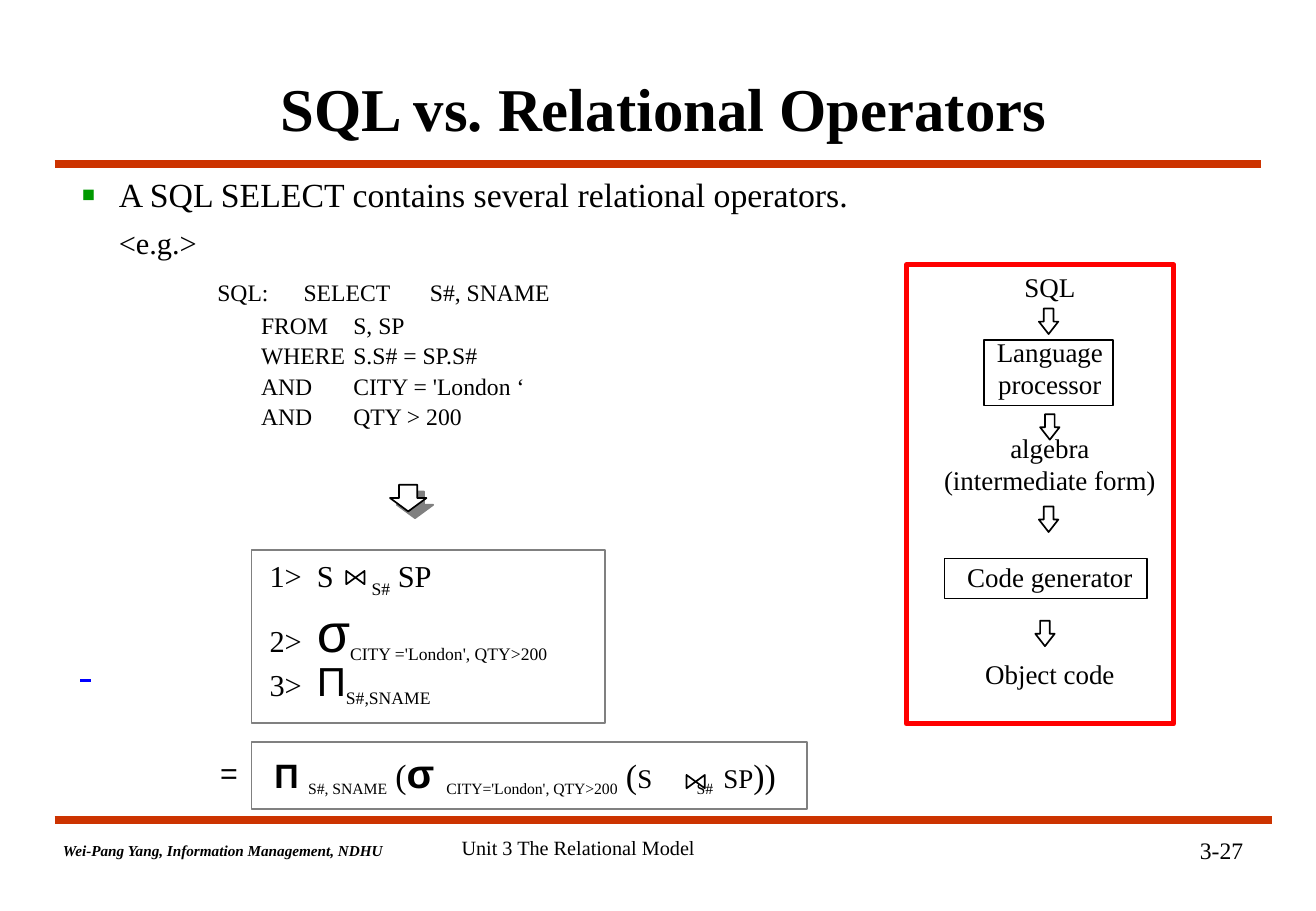
from dataclasses import dataclass, field
from typing import NamedTuple

from lxml.etree import SubElement
from pptx import Presentation
from pptx.dml.color import RGBColor
from pptx.enum.shapes import MSO_CONNECTOR as CONN, MSO_SHAPE as SHAPE
from pptx.enum.text import MSO_ANCHOR as ANCHOR, PP_ALIGN as ALIGN
from pptx.oxml.ns import qn
from pptx.util import Pt

PX = 9144
SERIF, SANS = "Times New Roman", "Arial"
BLACK, WHITE, GRAY, RED = "000000", "FFFFFF", "808080", "FF0000"
ORANGE, GREEN, BLUE = "CC3300", "009900", "0000FF"


class Box(NamedTuple):
    x: int
    y: int
    w: int
    h: int


class Run(NamedTuple):
    text: str
    size: int
    fmt: dict = {}
    attrs: dict = {}


@dataclass
class Para:
    runs: list[Run]
    fmt: dict = field(default_factory=dict)
    indent: tuple[int, int] = (0, 0)
    bullet: str = ""


@dataclass
class Text:
    box: Box
    paras: list[Para]
    anchor: ANCHOR = ANCHOR.TOP


@dataclass
class Outline:
    kind: SHAPE
    box: Box
    line: str = BLACK
    width: float = 1
    fill: str = ""
    shadow: bool = False


class Rule(NamedTuple):
    x1: int
    x2: int
    y: int
    color: str
    width: float


def color(code: str) -> RGBColor:
    """Turn a hex string into a colour."""
    return RGBColor.from_string(code)


def emu(box: Box) -> list[int]:
    """Scale a box to EMU."""
    return [v * PX for v in box]


def line(text: str, size: int, align: ALIGN = ALIGN.LEFT, **fmt) -> Para:
    """Make a paragraph of a single run."""
    return Para([Run(text, size, fmt)], {"alignment": align})


def sub(text: str, size: int) -> Run:
    """Make a subscript run."""
    return Run(text, size, attrs={"baseline": "-25000"})


def gap(size: int, extra: int) -> Run:
    """Make one space widened by character spacing."""
    return Run(" ", size, attrs={"spc": str(extra * 72)})


def add_para(p, para: Para) -> None:
    """Fill a paragraph with its bullet and runs."""
    pPr = p._p.get_or_add_pPr()
    left, first = para.indent
    pPr.set("marL", str(left * PX))
    pPr.set("indent", str(first * PX))
    if para.bullet:
        SubElement(SubElement(pPr, qn("a:buClr")), qn("a:srgbClr"), val=GREEN)
        SubElement(pPr, qn("a:buSzPct"), val="125000")
        SubElement(pPr, qn("a:buFont"), typeface=SANS)
        SubElement(pPr, qn("a:buChar"), char=para.bullet)
    for name, value in para.fmt.items():
        setattr(p, name, value)
    for run in para.runs:
        r = p.add_run()
        r.text = run.text
        for name, value in ({"name": SERIF, "size": Pt(run.size)} | run.fmt).items():
            setattr(r.font, name, value)
        r.font.color.rgb = color(BLACK)
        for name, value in run.attrs.items():
            r._r.get_or_add_rPr().set(name, value)


def add_text(shapes, text: Text) -> None:
    """Add a text box."""
    tf = shapes.add_textbox(*emu(text.box)).text_frame
    tf.word_wrap = True
    tf.vertical_anchor = text.anchor
    for i, para in enumerate(text.paras):
        add_para(tf.add_paragraph() if i else tf.paragraphs[0], para)


def style(s, o: Outline) -> None:
    """Set the fill, line and shadow of a shape."""
    s.shadow.inherit = False
    if o.fill:
        s.fill.solid()
        s.fill.fore_color.rgb = color(o.fill)
    else:
        s.fill.background()
    s.line.color.rgb = color(o.line)
    s.line.width = Pt(o.width)
    if o.shadow:
        effects = s._element.spPr.find(qn("a:effectLst"))
        shade = SubElement(effects, qn("a:outerShdw"), dist=str(Pt(5.7)), dir="2700000", algn="ctr")
        SubElement(shade, qn("a:srgbClr"), val=GRAY)


def add_outline(shapes, o: Outline) -> None:
    """Add a rectangle or a down arrow."""
    s = shapes.add_shape(o.kind, *emu(o.box))
    if o.kind == SHAPE.DOWN_ARROW:
        s.adjustments[1] = 0.5 if o.shadow else 0.64
    style(s, o)


def add_join(shapes, box: Box) -> None:
    """Add a join sign."""
    x, y, w, h = box
    fb = shapes.build_freeform(x, y, scale=PX)
    fb.add_line_segments([(x, y + h), (x + w, y), (x + w, y + h)], close=True)
    style(fb.convert_to_shape(), Outline(SHAPE.RECTANGLE, box, fill=WHITE))


def add_rule(shapes, rule: Rule) -> None:
    """Add a horizontal line."""
    y = rule.y * PX
    s = shapes.add_connector(CONN.STRAIGHT, rule.x1 * PX, y, rule.x2 * PX, y)
    s.line.color.rgb = color(rule.color)
    s.line.width = Pt(rule.width)
    SubElement(s._element.spPr, qn("a:effectLst"))


RULES = [Rule(45, 1038, 135, ORANGE, 4.5), Rule(45, 1047, 675, ORANGE, 4.5), Rule(66, 75, 560, BLUE, 2)]
SELECT_ROW = [(169, "SQL:"), (240, "SELECT"), (344, "S#, SNAME")]
CLAUSES = [(205, ["FROM", "WHERE", "AND", "AND"]),
           (281, ["S, SP", "S.S# = SP.S#", "CITY = 'London ‘", "QTY > 200"])]
STAGES = [("SQL", 0), ("Language", 1), ("processor", 0), ("algebra", 1),
          ("(intermediate form)", 0), ("Code generator", 2), ("Object code", 2)]
PITCH = 19.1
SYMBOL, BOLD = {"name": SANS}, {"name": SANS, "bold": True}
STEPS = [
    Para([Run("1>", 18), gap(18, 6), Run("S", 18), gap(18, 25), sub("S#", 18), Run(" SP", 18)]),
    Para([Run("2>", 18), gap(18, 6), Run("σ", 32, SYMBOL), sub("CITY ='London', QTY>200", 18)]),
    Para([Run("3>", 18), gap(18, 6), Run("Π", 24, SYMBOL), sub("S#,SNAME", 18)], {"line_spacing": 0.8}),
]
EXPRESSION = Para([
    Run("Π ", 20, BOLD), sub("S#, SNAME", 16), Run(" (", 20), Run("σ", 24, BOLD), Run(" ", 28),
    sub("CITY='London', QTY>200", 16), Run(" (", 20), Run("S", 16), gap(16, 31), sub("S#", 16),
    gap(16, 3), Run("SP", 16), Run("))", 20)])
TEXTS = [
    Text(Box(99, 42, 894, 92), [line("SQL vs. Relational Operators", 36, ALIGN.CENTER, bold=True)], ANCHOR.MIDDLE),
    Text(Box(7, 138, 1047, 80), [
        Para([Run("A SQL SELECT contains several relational operators.", 20)], indent=(81, -31), bullet="▪"),
        Para([Run("<e.g.>", 18)], {"space_before": Pt(6)}, indent=(81, 0))]),
    *(Text(Box(x, 224, 140, 30), [line(word, 14)]) for x, word in SELECT_ROW),
    *(Text(Box(x, 251, 180, 110), [
        Para([Run(word, 14)], {"space_before": Pt(1.2 if i else 0)}) for i, word in enumerate(words)])
      for x, words in CLAUSES),
    Text(Box(212, 454, 393, 125), STEPS),
    Text(Box(216, 605, 480, 57), [EXPRESSION]),
    Text(Box(166, 616, 45, 40), [line("=", 18, ALIGN.CENTER, name=SANS)]),
    Text(Box(722, 218, 284, 384), [
        Para([Run(t, 16)], {"alignment": ALIGN.CENTER, "line_spacing": Pt(PITCH), "space_before": Pt(blank * PITCH)})
        for t, blank in STAGES]),
    Text(Box(42, 688, 323, 25), [line("Wei-Pang Yang, Information Management, NDHU", 9, bold=True, italic=True)]),
    Text(Box(370, 683, 343, 50), [line("Unit 3 The Relational Model", 12)]),
    Text(Box(750, 683, 283, 50), [line("3-27", 14, ALIGN.RIGHT)]),
]
OUTLINES = [
    Outline(SHAPE.DOWN_ARROW, Box(321, 399, 30, 22), fill=WHITE, shadow=True),
    Outline(SHAPE.RECTANGLE, Box(207, 453, 291, 142), GRAY),
    Outline(SHAPE.RECTANGLE, Box(207, 611, 457, 55), GRAY),
    Outline(SHAPE.RECTANGLE, Box(810, 280, 106, 54)),
    Outline(SHAPE.RECTANGLE, Box(777, 460, 167, 33), width=0.75),
    Outline(SHAPE.RECTANGLE, Box(746, 218, 220, 378), RED, 3),
    *(Outline(SHAPE.DOWN_ARROW, Box(x, y, 16, 21))
      for x, y in [(855, 254), (856, 341), (855, 417), (852, 511)]),
]
JOINS = [Box(285, 470, 15, 11), Box(565, 638, 15, 11)]


def main() -> None:
    """Build the slide."""
    prs = Presentation()
    prs.slide_width, prs.slide_height = 1083 * PX, 750 * PX
    shapes = prs.slides.add_slide(prs.slide_layouts[6]).shapes
    for draw, items in [(add_rule, RULES), (add_text, TEXTS), (add_outline, OUTLINES), (add_join, JOINS)]:
        for item in items:
            draw(shapes, item)
    prs.save("out.pptx")


if __name__ == "__main__":
    main()
